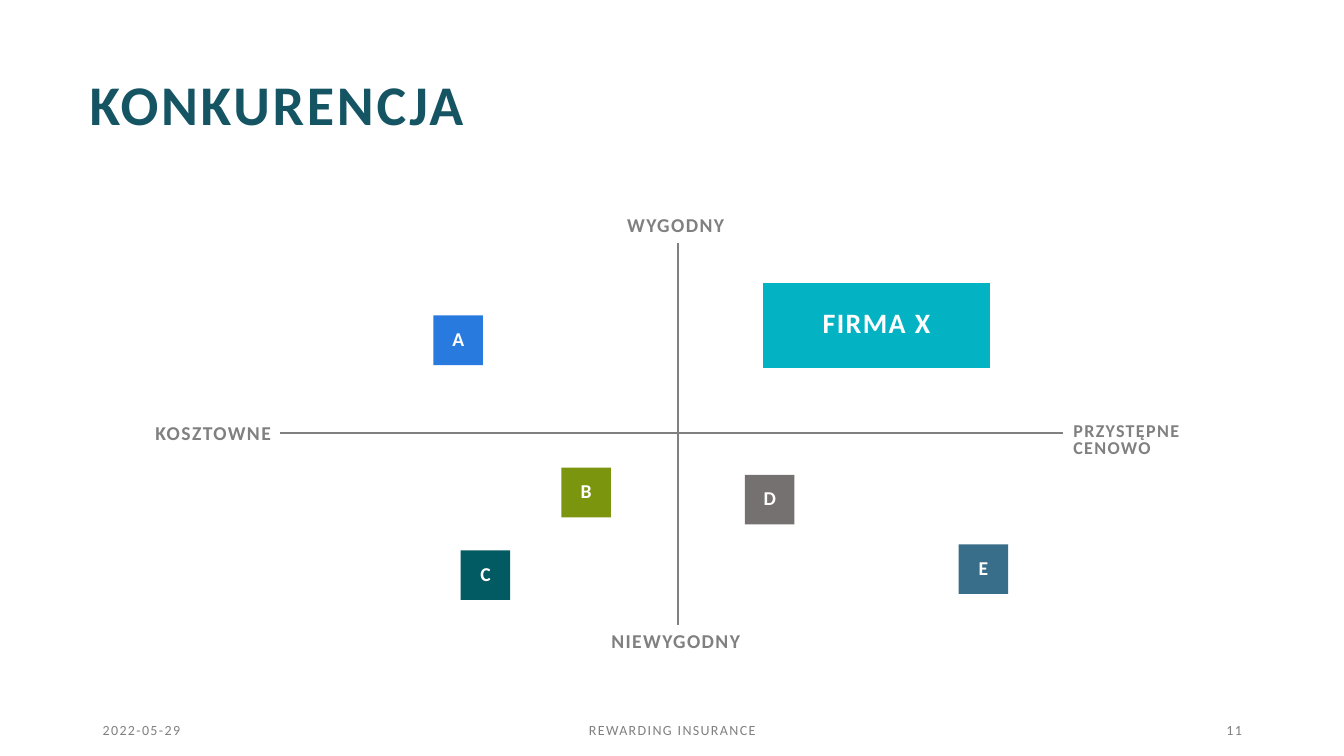
from pptx import Presentation
from pptx.dml.color import RGBColor
from pptx.enum.shapes import MSO_CONNECTOR, MSO_SHAPE
from pptx.enum.text import MSO_ANCHOR, PP_ALIGN
from pptx.oxml.ns import qn
from pptx.util import Inches, Pt
from lxml.etree import SubElement

COLORS = {
    "title": "155463", "gray": "808080", "white": "FFFFFF", "company": "04B3C3",
    "A": "287ADF", "B": "7B960E", "C": "025A62", "D": "767171", "E": "386E8A",
}
COLUMNS, ROWS = 160, 90

presentation = Presentation()
presentation.slide_width = Inches(40 / 3)
presentation.slide_height = Inches(7.5)
slide = presentation.slides.add_slide(presentation.slide_layouts[6])


def place(*cells):
    sizes = (presentation.slide_width / COLUMNS, presentation.slide_height / ROWS)
    return [round(cell * sizes[index % 2]) for index, cell in enumerate(cells)]


def add_text(text, box, size=14, color="gray", bold=True, align=PP_ALIGN.LEFT,
             anchor=MSO_ANCHOR.MIDDLE, line_spacing=0.9, tracking=1, fill=None):
    if fill:
        shape = slide.shapes.add_shape(MSO_SHAPE.RECTANGLE, *place(*box))
        shape.shadow.inherit = False
        shape.fill.solid()
        shape.fill.fore_color.rgb = RGBColor.from_string(COLORS[fill])
        shape.line.fill.background()
    else:
        shape = slide.shapes.add_textbox(*place(*box))
    frame = shape.text_frame
    frame.word_wrap = True
    frame.vertical_anchor = anchor
    paragraph = frame.paragraphs[0]
    paragraph.alignment = align
    paragraph.line_spacing = line_spacing
    run = paragraph.add_run()
    run.text = text
    run.font.name = "Calibri"
    run.font.size = Pt(size)
    run.font.bold = bold
    run.font.color.rgb = RGBColor.from_string(COLORS[color])
    run.font._element.set("spc", str(tracking * 100))


axis_x, axis_y = 80.76, 51.6
left, right, top, bottom = 33.36, 126.6, 28.92, 74.4
for ends in [(axis_x, top, axis_x, bottom), (right, axis_y, left, axis_y)]:
    axis = slide.shapes.add_connector(MSO_CONNECTOR.STRAIGHT, *place(*ends))
    axis.line.color.rgb = RGBColor.from_string(COLORS["gray"])
    axis.line.width = Pt(1.5)
    SubElement(axis._element.spPr, qn("a:effectLst"))

add_text("KONKURENCJA", (9.5, 8.75, 139.5, 8.5), size=40, color="title",
         line_spacing=0.8, tracking=2)

margin, label_width, label_height = 11.04, 22.4, 5.6
label_x, label_y = 69.24, 49.8
for text, x, y, align, anchor, size, line_spacing in [
    ("WYGODNY", label_x, 23.16, PP_ALIGN.CENTER, MSO_ANCHOR.BOTTOM, 14, 0.9),
    ("KOSZTOWNE", margin, label_y, PP_ALIGN.RIGHT, MSO_ANCHOR.TOP, 14, 0.9),
    ("PRZYSTĘPNE CENOWO", right, label_y, PP_ALIGN.LEFT, MSO_ANCHOR.TOP, 12.9, 0.8),
    ("NIEWYGODNY", label_x, 74.64, PP_ALIGN.CENTER, MSO_ANCHOR.TOP, 14, 0.9),
]:
    add_text(text, (x, y, label_width, label_height), size=size, align=align,
             anchor=anchor, line_spacing=line_spacing)

square = 5.9
for name, x, y in [("A", 51.6, 37.56), ("B", 66.84, 55.68), ("D", 88.68, 56.52),
                   ("C", 54.84, 65.52), ("E", 114.12, 64.8)]:
    add_text(name, (x, y, square, square), color="white", align=PP_ALIGN.CENTER,
             fill=name)
add_text("FIRMA X", (90.84, 33.72, 27, 10.1), size=20, color="white",
         align=PP_ALIGN.CENTER, line_spacing=0.8, fill="company")

for text, x, width, align in [
    ("2022-05-29", margin, 36, PP_ALIGN.LEFT),
    ("REWARDING INSURANCE", 53.04, 54, PP_ALIGN.CENTER),
    ("11", 113.04, 36, PP_ALIGN.RIGHT),
]:
    add_text(text, (x, 85.56, width, 2.64), size=10, bold=False, align=align,
             line_spacing=1.0)

presentation.save("out.pptx")
